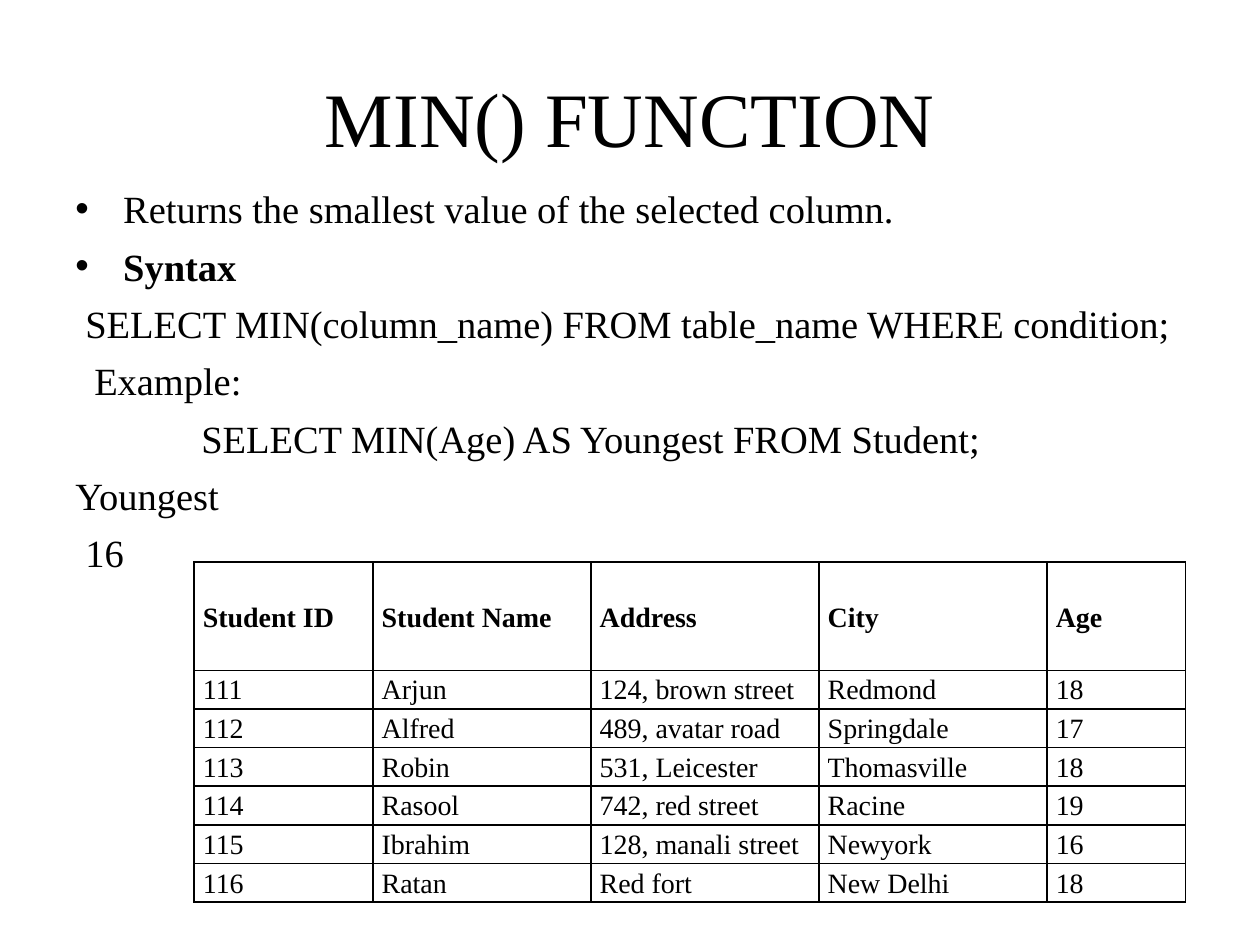
from dataclasses import dataclass

from lxml.etree import SubElement
from pptx import Presentation
from pptx.dml.color import RGBColor
from pptx.enum.text import MSO_ANCHOR, PP_ALIGN
from pptx.oxml.ns import qn
from pptx.slide import Slide
from pptx.table import _Cell
from pptx.text.text import TextFrame, _Paragraph
from pptx.util import Inches, Pt

FONT = "Times New Roman"
COLORS = {"ink": "000000"}
BORDER_SIDES = ("a:lnL", "a:lnR", "a:lnT", "a:lnB")


@dataclass
class BodyLine:
    text: str
    indent: float = 0
    bullet: bool = False
    bold: bool = False


BODY_LINES = [
    BodyLine("Returns the smallest value of the selected column.", 0.38, bullet=True),
    BodyLine("Syntax", 0.38, bullet=True, bold=True),
    BodyLine("SELECT MIN(column_name) FROM table_name WHERE condition;", 0.08),
    BodyLine("Example:", 0.15),
    BodyLine("SELECT MIN(Age) AS Youngest FROM Student;", 1),
    BodyLine("Youngest"),
    BodyLine("16", 0.08),
]

STUDENTS = [
    ("Student ID", "Student Name", "Address", "City", "Age"),
    ("111", "Arjun", "124, brown street", "Redmond", "18"),
    ("112", "Alfred", "489, avatar road", "Springdale", "17"),
    ("113", "Robin", "531, Leicester", "Thomasville", "18"),
    ("114", "Rasool", "742, red street", "Racine", "19"),
    ("115", "Ibrahim", "128, manali street", "Newyork", "16"),
    ("116", "Ratan", "Red fort", "New Delhi", "18"),
]
COLUMN_WIDTHS = (1.42, 1.73, 1.81, 1.81, 1.1)
HEADER_HEIGHT = 0.86
ROW_HEIGHT = 0.28


def write(paragraph: _Paragraph, text: str, size: float, bold: bool = False) -> None:
    paragraph.text = text
    for run in paragraph.runs:
        run.font.name = FONT
        run.font.size = Pt(size)
        run.font.bold = bold
        run.font.color.rgb = RGBColor.from_string(COLORS["ink"])


def add_text_frame(slide: Slide, left: float, top: float, width: float, height: float) -> TextFrame:
    frame = slide.shapes.add_textbox(
        Inches(left), Inches(top), Inches(width), Inches(height)
    ).text_frame
    frame.word_wrap = True
    return frame


def set_indent(paragraph: _Paragraph, line: BodyLine) -> None:
    properties = paragraph._p.get_or_add_pPr()
    properties.set("marL", str(Inches(line.indent)))
    properties.set("indent", str(Inches(-line.indent if line.bullet else 0)))
    if line.bullet:
        SubElement(properties, qn("a:buFont"), typeface="Arial")
        SubElement(properties, qn("a:buChar"), char="•")
    else:
        SubElement(properties, qn("a:buNone"))


def add_title(slide: Slide) -> None:
    frame = add_text_frame(slide, 0.5, 0.3, 9, 1.25)
    frame.vertical_anchor = MSO_ANCHOR.MIDDLE
    heading = frame.paragraphs[0]
    heading.alignment = PP_ALIGN.CENTER
    write(heading, "MIN() FUNCTION", 44)


def add_body(slide: Slide) -> None:
    frame = add_text_frame(slide, 0.5, 1.42, 9.3, 5.95)
    for index, line in enumerate(BODY_LINES):
        paragraph = frame.add_paragraph() if index else frame.paragraphs[0]
        set_indent(paragraph, line)
        paragraph.space_before = Pt(6.4 if index else 0)
        write(paragraph, line.text, 22, line.bold)


def set_borders(cell: _Cell) -> None:
    properties = cell._tc.get_or_add_tcPr()
    for side in BORDER_SIDES:
        border = SubElement(properties, qn(side), w=str(Pt(1)))
        fill = SubElement(border, qn("a:solidFill"))
        SubElement(fill, qn("a:srgbClr"), val=COLORS["ink"])


def fill_cell(cell: _Cell, text: str, header: bool) -> None:
    cell.margin_left = cell.margin_right = Inches(0.07)
    cell.margin_top = cell.margin_bottom = 0
    if header:
        cell.vertical_anchor = MSO_ANCHOR.MIDDLE
    set_borders(cell)
    cell.fill.background()
    paragraph = cell.text_frame.paragraphs[0]
    paragraph.line_spacing = 1.15
    write(paragraph, text, 16, header)


def add_student_table(slide: Slide) -> None:
    heights = [HEADER_HEIGHT] + [ROW_HEIGHT] * (len(STUDENTS) - 1)
    table = slide.shapes.add_table(
        len(STUDENTS), len(COLUMN_WIDTHS), Inches(1.54), Inches(4.46),
        Inches(sum(COLUMN_WIDTHS)), Inches(sum(heights)),
    ).table
    table.first_row = False
    table.horz_banding = False
    for column, width in zip(table.columns, COLUMN_WIDTHS):
        column.width = Inches(width)
    for row_index, (student, height) in enumerate(zip(STUDENTS, heights)):
        table.rows[row_index].height = Inches(height)
        for column_index, text in enumerate(student):
            fill_cell(table.cell(row_index, column_index), text, row_index == 0)


def main() -> None:
    presentation = Presentation()
    presentation.slide_width = Inches(10)
    presentation.slide_height = Inches(7.5)
    slide = presentation.slides.add_slide(presentation.slide_layouts[6])
    add_title(slide)
    add_body(slide)
    add_student_table(slide)
    presentation.save("out.pptx")


if __name__ == "__main__":
    main()
